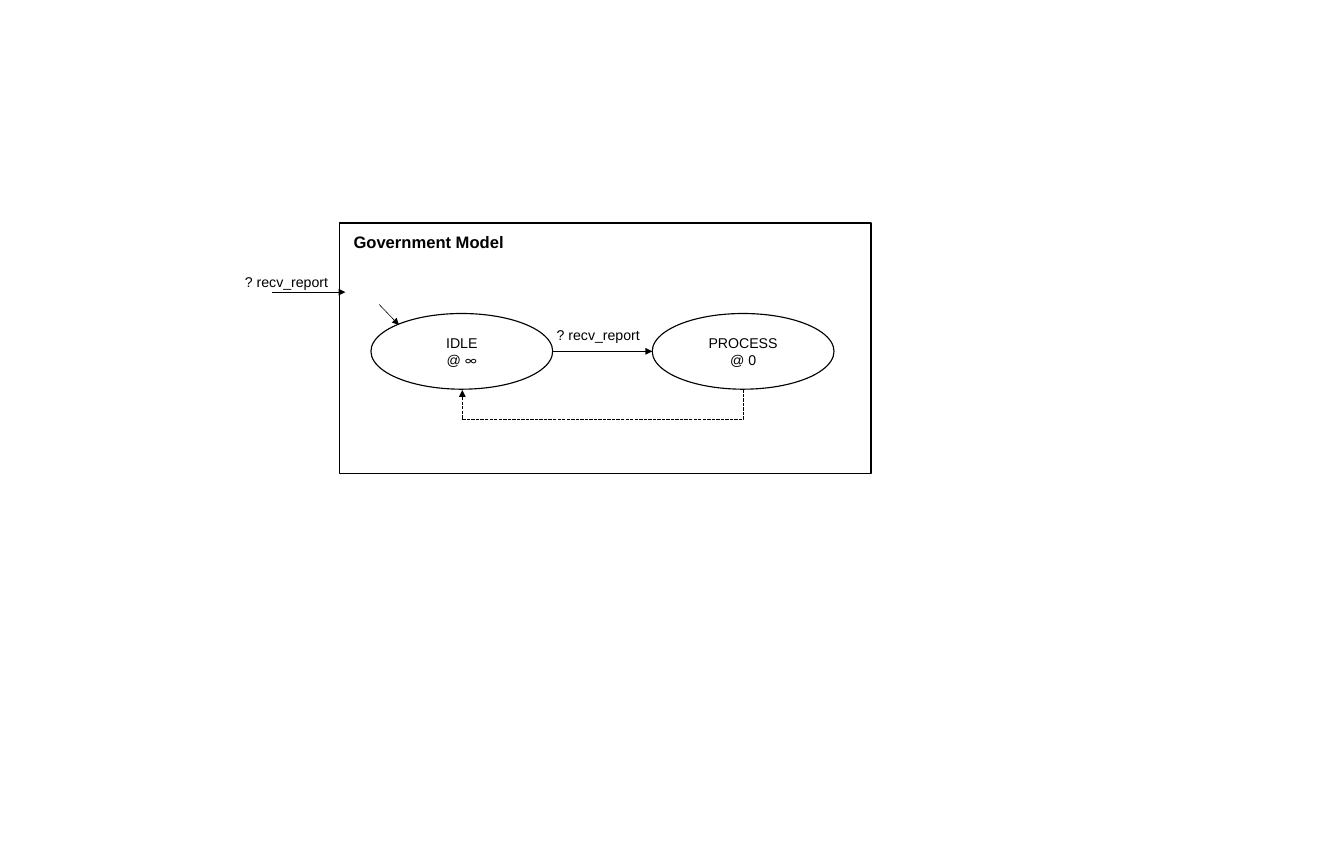
from pptx import Presentation
from pptx.dml.color import RGBColor
from pptx.enum.dml import MSO_LINE
from pptx.enum.shapes import MSO_CONNECTOR, MSO_SHAPE
from pptx.enum.text import MSO_ANCHOR, PP_ALIGN
from pptx.oxml.ns import qn
from pptx.util import Pt
from lxml.etree import SubElement

PX = 9144
BLACK = RGBColor(0x00, 0x00, 0x00)
WHITE = RGBColor(0xFF, 0xFF, 0xFF)


def write(tf, *lines, size=12.4, bold=False, align=PP_ALIGN.LEFT):
    tf.word_wrap = True
    for i, runs in enumerate(lines):
        p = tf.add_paragraph() if i else tf.paragraphs[0]
        p.alignment = align
        for text, font in runs:
            r = p.add_run()
            r.text = text
            r.font.name = font
            r.font.size = Pt(size)
            r.font.bold = bold
            r.font.color.rgb = BLACK


def add_arrowhead(sp, width):
    sp.line.color.rgb = BLACK
    sp.line.width = Pt(width)
    SubElement(sp.line._get_or_add_ln(), qn("a:tailEnd"), type="triangle")


prs = Presentation()
prs.slide_width = 1634 * PX
prs.slide_height = 1050 * PX
s = prs.slides.add_slide(prs.slide_layouts[6])

frame = s.shapes.add_shape(MSO_SHAPE.RECTANGLE, 413 * PX, 271 * PX, 646 * PX, 304 * PX)
frame.shadow.inherit = False
frame.fill.background()
frame.line.color.rgb = BLACK
frame.line.width = Pt(1)

labels = [
    ("Government Model", 420, 277, 220, 34, {"size": 14.5, "bold": True}),
    ("? recv_report", 288, 327, 126, 31, {}),
    ("? recv_report", 667, 392, 137, 31, {}),
]
for text, x, y, w, h, style in labels:
    box = s.shapes.add_textbox(x * PX, y * PX, w * PX, h * PX)
    write(box.text_frame, [(text, "Arial")], **style)

states = [
    (451, [("IDLE", "Arial")], [("@ ", "Arial"), ("∞", "Calibri")]),
    (793, [("PROCESS", "Arial")], [("@ 0", "Arial")]),
]
for x, *lines in states:
    state = s.shapes.add_shape(MSO_SHAPE.OVAL, x * PX, 381 * PX, 221 * PX, 92 * PX)
    state.shadow.inherit = False
    state.fill.solid()
    state.fill.fore_color.rgb = WHITE
    state.line.color.rgb = BLACK
    state.line.width = Pt(1)
    state.text_frame.vertical_anchor = MSO_ANCHOR.MIDDLE
    write(state.text_frame, *lines, align=PP_ALIGN.CENTER)

arrows = [
    (331, 355, 420, 355, 1),
    (672, 427, 793, 427, 1),
    (461, 370, 485, 395, 0.5),
]
for x1, y1, x2, y2, width in arrows:
    arrow = s.shapes.add_connector(MSO_CONNECTOR.STRAIGHT, x1 * PX, y1 * PX, x2 * PX, y2 * PX)
    add_arrowhead(arrow, width)
    SubElement(arrow._element.spPr, qn("a:effectLst"))

builder = s.shapes.build_freeform(904, 473, scale=PX)
builder.add_line_segments([(904, 510), (562, 510), (562, 474)], close=False)
back = builder.convert_to_shape()
back.shadow.inherit = False
back.fill.background()
back.line.dash_style = MSO_LINE.SQUARE_DOT
add_arrowhead(back, 1)

prs.save("out.pptx")
